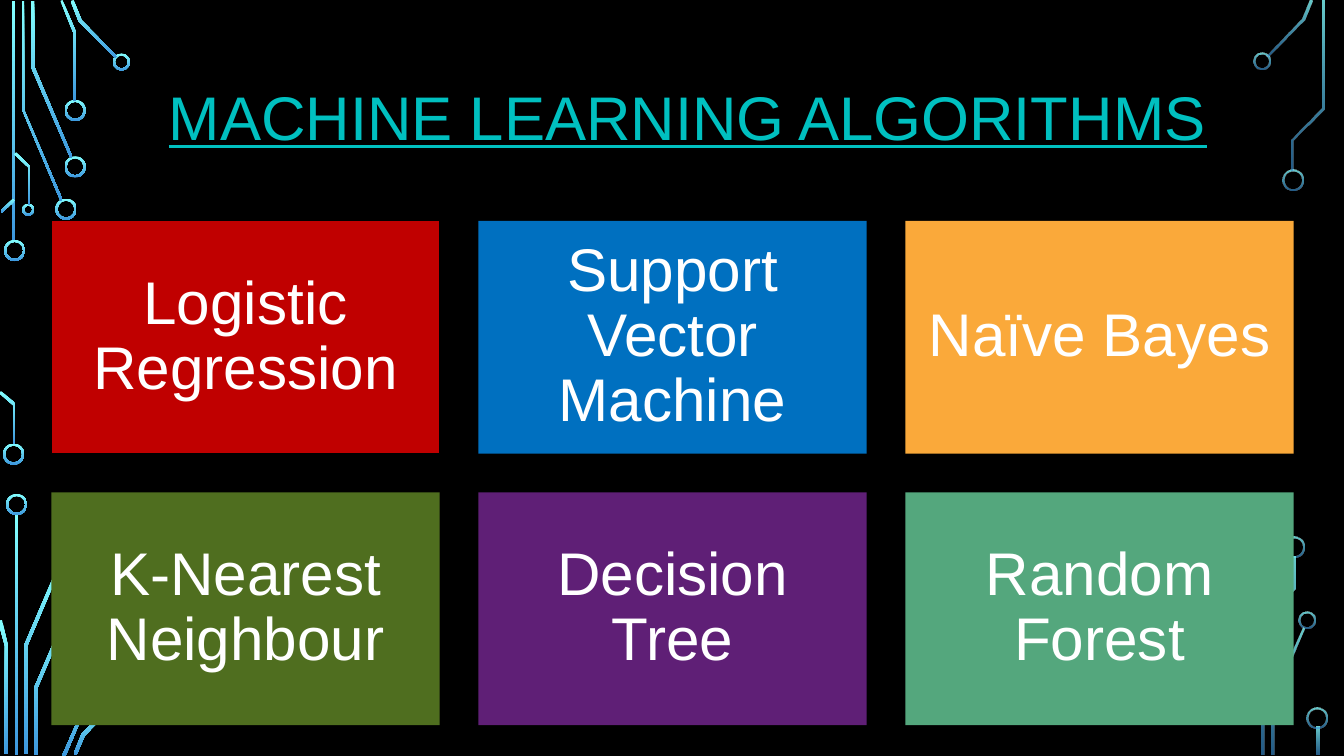
import pptx
import pptx.util
import pptx.dml.color
import pptx.enum.shapes
import pptx.enum.text
import lxml.etree

Inches = pptx.util.Inches
RGBColor = pptx.dml.color.RGBColor
SHAPES = pptx.enum.shapes.MSO_SHAPE

# Colours
BLACK = RGBColor(0x00, 0x00, 0x00)
WHITE = RGBColor(0xFF, 0xFF, 0xFF)
TEAL = RGBColor(0x00, 0xC0, 0xC0)
RED = RGBColor(0xC0, 0x00, 0x00)
BLUE = RGBColor(0x00, 0x70, 0xC0)
ORANGE = RGBColor(0xFA, 0xA9, 0x3A)
OLIVE = RGBColor(0x4F, 0x6E, 0x1F)
PURPLE = RGBColor(0x5F, 0x1F, 0x76)
GREEN = RGBColor(0x54, 0xA7, 0x7D)
CIRCUIT_TOP = RGBColor(0x82, 0xFF, 0xFF)
CIRCUIT_BOTTOM = RGBColor(0x3D, 0x97, 0xDE)

# Content
TITLE = "MACHINE LEARNING ALGORITHMS"
ALGORITHMS = [
    ("Logistic Regression", RED),
    ("Support Vector Machine", BLUE),
    ("Naïve Bayes", ORANGE),
    ("K-Nearest Neighbour", OLIVE),
    ("Decision Tree", PURPLE),
    ("Random Forest", GREEN),
]

# Circuit artwork: bars (left, top, height), rings (left, top, size), trace outlines
LEFT_CIRCUIT = {
    "opacity": (100, 100),
    "bars": [(0.12, 0.01, 2.39), (0.15, 5.1, 2.39)],
    "rings": [
        (0.04, 2.38, 0.21), (0.03, 4.4, 0.21), (0.55, 1.97, 0.21),
        (0.64, 1.55, 0.21), (0.64, 0.99, 0.21), (1.12, 0.53, 0.17),
        (0.22, 2.02, 0.12), (0.06, 4.9, 0.21),
    ],
    "traces": [
        [(0.6, 1.99), (0.22, 1.09), (0.22, 0.01), (0.24, 0.01), (0.24, 1.09), (0.62, 1.98)],
        [(0.7, 1.57), (0.31, 0.67), (0.31, 0.01), (0.34, 0.01), (0.34, 0.66), (0.72, 1.56)],
        [(0.76, 1), (0.73, 1), (0.73, 0.33), (0.6, 0.01), (0.62, 0), (0.76, 0.33)],
        [(1.15, 0.58), (0.78, 0.21), (0.7, 0.01), (0.73, 0), (0.81, 0.2), (1.16, 0.56)],
        [(0.02, 2.11), (0.01, 2.09), (0.13, 1.97), (0.15, 1.99)],
        [(0.15, 4.41), (0.13, 4.41), (0.13, 4.02), (-0.01, 3.9), (0.01, 3.88), (0.15, 4)],
        [(0.3, 2.03), (0.28, 2.03), (0.28, 1.66), (0.14, 1.53), (0.16, 1.51), (0.3, 1.65)],
        [(0.27, 7.48), (0.24, 7.48), (0.24, 6.4), (0.62, 5.51), (0.65, 5.52), (0.27, 6.41)],
        [(0.08, 7.48), (0.05, 7.48), (0.05, 6.41), (-0.02, 6.16), (0.02, 6.15), (0.08, 6.41)],
        [(0.37, 7.49), (0.34, 7.49), (0.34, 6.82), (0.72, 5.93), (0.75, 5.94), (0.37, 6.83)],
        [(0.65, 7.5), (0.62, 7.49), (0.76, 7.17), (0.76, 6.5), (0.79, 6.5), (0.79, 7.17)],
        [(0.76, 7.49), (0.73, 7.48), (0.81, 7.28), (1.17, 6.92), (1.19, 6.94), (0.84, 7.3)],
    ],
}
RIGHT_CIRCUIT = {
    "opacity": (80, 60),
    "bars": [(13.06, 7.21, 0.28)],
    "rings": [
        (12.43, 0.52, 0.17), (12.72, 1.68, 0.21), (12.88, 6.07, 0.17),
        (12.73, 5.32, 0.21), (12.96, 7.02, 0.21),
    ],
    "traces": [
        [(12.58, 0.56), (12.56, 0.55), (12.91, 0.19), (12.99, 0), (13.02, 0.01), (12.94, 0.2)],
        [(12.64, 7.49), (12.61, 7.49), (12.61, 6.93), (12.92, 6.23), (12.94, 6.24), (12.64, 6.94)],
        [(12.83, 1.69), (12.81, 1.69), (12.81, 1.38), (13.11, 1.07),
         (13.11, 0.01), (13.14, 0.01), (13.14, 1.08), (12.83, 1.39)],
        [(12.54, 7.49), (12.51, 7.49), (12.51, 6.13), (12.82, 5.83),
         (12.82, 5.52), (12.85, 5.52), (12.85, 5.84), (12.54, 6.14)],
    ],
}

# Layout, in inches
TRACE_WIDTH = 0.03
RING_WIDTH = 0.02
COLUMNS = 3
CARD_LEFT, CARD_TOP = 0.51, 2.19
CARD_WIDTH, CARD_HEIGHT = 3.85, 2.31
CARD_GAP = CARD_WIDTH / 10
CARD_INSET = Inches(0.18)


def add_preset(page, preset, left, top, width, height):
    shape = page.shapes.add_shape(
        preset, Inches(left), Inches(top), Inches(width), Inches(height))
    shape.shadow.inherit = False
    shape.line.fill.background()
    return shape


def paint_circuit(shape, opacity):
    shape.shadow.inherit = False
    shape.line.fill.background()
    shape.fill.gradient()
    shape.fill.gradient_angle = 270
    for stop, colour in zip(shape.fill.gradient_stops, (CIRCUIT_TOP, CIRCUIT_BOTTOM)):
        stop.color.rgb = colour
    stop_colours = shape.element.spPr.xpath(".//a:gs/a:srgbClr")
    for stop_colour, percent in zip(stop_colours, opacity):
        if percent < 100:
            alpha = lxml.etree.SubElement(stop_colour, pptx.oxml.ns.qn("a:alpha"))
            alpha.set("val", str(percent * 1000))


def draw_circuit(page, circuit):
    parts = []
    for left, top, height in circuit["bars"]:
        parts.append(add_preset(page, SHAPES.RECTANGLE, left, top, TRACE_WIDTH, height))
    for left, top, size in circuit["rings"]:
        ring = add_preset(page, SHAPES.DONUT, left, top, size, size)
        ring.adjustments[0] = RING_WIDTH / size
        parts.append(ring)
    for outline in circuit["traces"]:
        points = [(Inches(x), Inches(y)) for x, y in outline]
        builder = page.shapes.build_freeform(*points[0])
        builder.add_line_segments(points[1:], close=True)
        parts.append(builder.convert_to_shape())
    for part in parts:
        paint_circuit(part, circuit["opacity"])


def write(frame, text, size, colour):
    frame.word_wrap = True
    para = frame.paragraphs[0]
    para.alignment = pptx.enum.text.PP_ALIGN.CENTER
    span = para.add_run()
    span.text = text
    span.font.name = "Arial"
    span.font.size = pptx.util.Pt(size)
    span.font.color.rgb = colour
    return para, span


def add_card(page, index, name, colour):
    row, column = divmod(index, COLUMNS)
    card = add_preset(
        page, SHAPES.RECTANGLE,
        CARD_LEFT + column * (CARD_WIDTH + CARD_GAP),
        CARD_TOP + row * (CARD_HEIGHT + CARD_GAP),
        CARD_WIDTH, CARD_HEIGHT)
    card.fill.solid()
    card.fill.fore_color.rgb = colour
    frame = card.text_frame
    frame.margin_left = frame.margin_right = CARD_INSET
    frame.margin_top = frame.margin_bottom = CARD_INSET
    frame.vertical_anchor = pptx.enum.text.MSO_ANCHOR.MIDDLE
    para, span = write(frame, name, 43, WHITE)
    para.line_spacing = 0.9
    return card


def main():
    deck = pptx.Presentation()
    deck.slide_width, deck.slide_height = Inches(13.33), Inches(7.5)
    page = deck.slides.add_slide(deck.slide_layouts[6])
    page.background.fill.solid()
    page.background.fill.fore_color.rgb = BLACK

    # Circuit decoration
    for circuit in (LEFT_CIRCUIT, RIGHT_CIRCUIT):
        draw_circuit(page, circuit)

    # Algorithm cards
    cards = [add_card(page, index, name, colour)
             for index, (name, colour) in enumerate(ALGORITHMS)]
    cards[0].line.color.rgb = BLACK
    cards[0].line.width = pptx.util.Pt(0.75)

    # Title
    box = page.shapes.add_textbox(Inches(1.09), Inches(0.73), Inches(11.47), Inches(0.84))
    para, span = write(box.text_frame, TITLE, 44, TEAL)
    span.font.underline = True
    box.text_frame.auto_size = pptx.enum.text.MSO_AUTO_SIZE.SHAPE_TO_FIT_TEXT

    deck.save("out.pptx")


if __name__ == "__main__":
    main()
